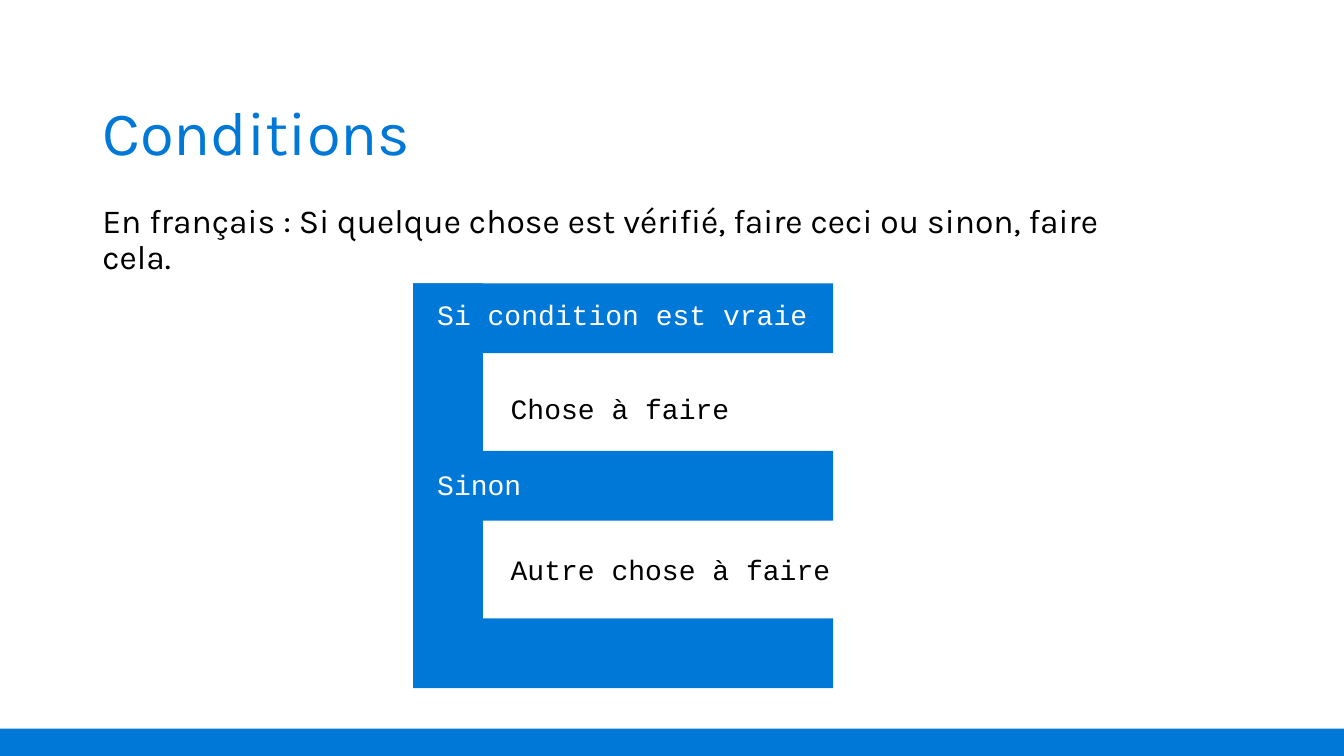
from dataclasses import dataclass

from pptx import Presentation
from pptx.dml.color import RGBColor
from pptx.enum.shapes import MSO_SHAPE
from pptx.enum.text import MSO_ANCHOR
from pptx.util import Cm, Pt

RECTANGLE = MSO_SHAPE.RECTANGLE
TOP, MIDDLE = MSO_ANCHOR.TOP, MSO_ANCHOR.MIDDLE


@dataclass(frozen=True)
class Theme:
    """Colours, fonts and type sizes of the slide."""
    blue: RGBColor = RGBColor(0x00, 0x78, 0xD7)
    black: RGBColor = RGBColor(0x00, 0x00, 0x00)
    white: RGBColor = RGBColor(0xFF, 0xFF, 0xFF)
    prose: str = "Karla"
    code: str = "Courier New"
    title_size: int = 44
    body_size: int = 24
    code_size: int = 20


THEME = Theme()


def add_block(slide, left, top, width, height, rotation=0):
    """Draw a plain blue rectangle, lengths in centimetres."""
    block = slide.shapes.add_shape(RECTANGLE, Cm(left), Cm(top), Cm(width), Cm(height))
    block.rotation = rotation
    block.shadow.inherit = False
    block.fill.solid()
    block.fill.fore_color.rgb = THEME.blue
    block.line.fill.background()


def add_text(slide, box, wording, font, size, color, anchor=TOP, spacing=1.0, before=0):
    """Write one wrapped paragraph in a box given in centimetres."""
    frame = slide.shapes.add_textbox(*(Cm(length) for length in box)).text_frame
    frame.word_wrap = True
    frame.vertical_anchor = anchor
    paragraph = frame.paragraphs[0]
    paragraph.line_spacing = spacing
    paragraph.space_before = Pt(before)
    run = paragraph.add_run()
    run.text = wording
    run.font.name = font
    run.font.size = Pt(size)
    run.font.color.rgb = color


def add_heading(slide, left, top):
    """Place the title and the sentence below it."""
    add_text(slide, (left, top, 29.21, 3.68), "Conditions", THEME.prose,
             THEME.title_size, THEME.blue, anchor=MIDDLE, spacing=0.9)
    add_text(slide, (left, top + 3.45, 26.87, 1.96),
             "En français : Si quelque chose est vérifié, faire ceci ou sinon, faire cela.",
             THEME.prose, THEME.body_size, THEME.black, spacing=0.9, before=10)


def add_condition(slide, left, top, width):
    """Build the E-shaped condition block with its branches."""
    bar, bar_step = 1.76, 4.22
    spine, spine_step = 5.72, 3.33
    for level in range(3):
        add_block(slide, left, top + level * bar_step, width, bar)
    for level in range(2):
        spine_middle = top + level * spine_step + spine / 2
        add_block(slide, left + (bar - spine) / 2, spine_middle - bar / 2,
                  spine, bar, rotation=270)

    keyword_indent, action_indent = 0.36, 2.21
    for wording, indent, drop, color in (
        ("Si condition est vraie", keyword_indent, 0.23, THEME.white),
        ("Sinon", keyword_indent, 4.52, THEME.white),
        ("Chose à faire", action_indent, 2.59, THEME.black),
        ("Autre chose à faire", action_indent, 6.65, THEME.black),
    ):
        add_text(slide, (left + indent, top + drop, width, 1.11), wording,
                 THEME.code, THEME.code_size, color)


def main():
    """Assemble and save the slide."""
    deck = Presentation()
    deck.slide_width, deck.slide_height = Cm(33.87), Cm(19.05)
    slide = deck.slides.add_slide(deck.slide_layouts[6])
    add_heading(slide, 2.33, 1.57)
    add_block(slide, 0, 18.36, 33.87, 0.69)
    add_condition(slide, 10.41, 7.14, 10.59)
    deck.save("out.pptx")


if __name__ == "__main__":
    main()
